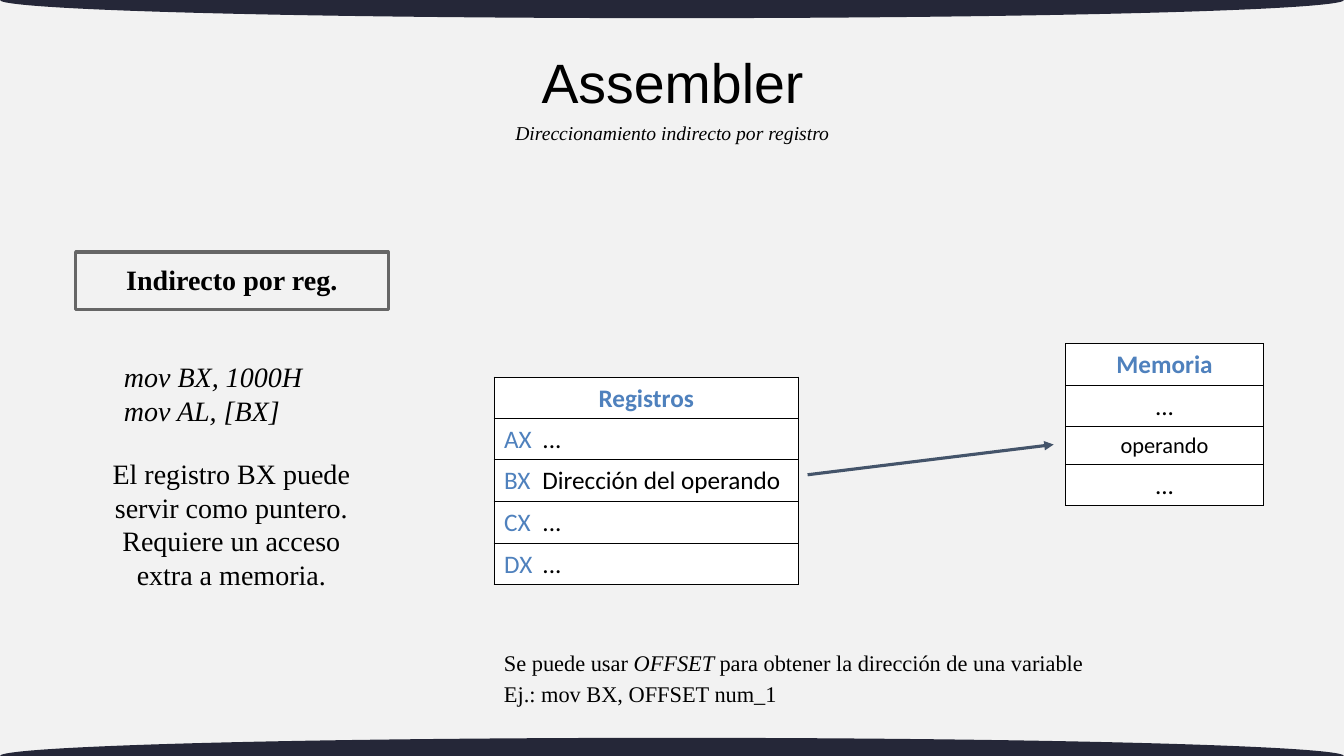
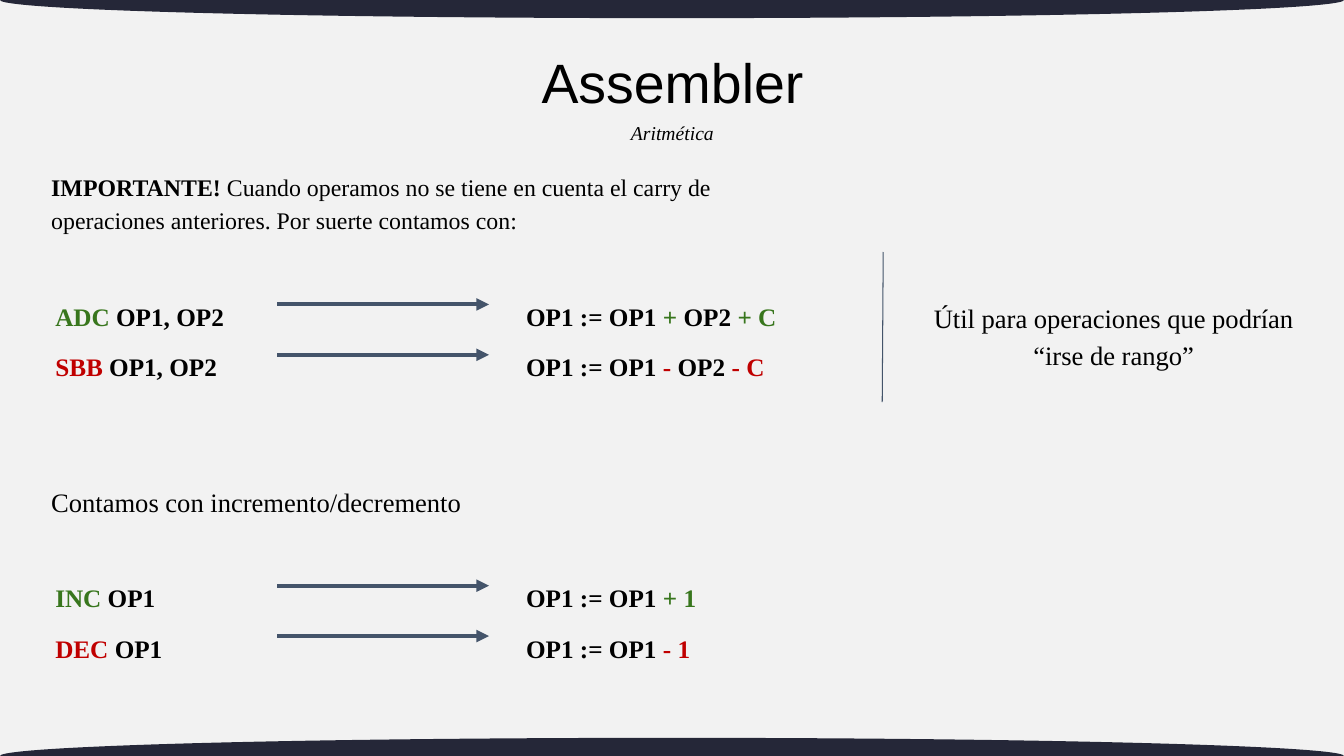
from dataclasses import dataclass

from pptx import Presentation
from pptx import util as u
from pptx.dml.color import RGBColor
from pptx.enum import shapes, text
from pptx.oxml import parse_xml
from pptx.oxml.ns import nsdecls, qn
from pptx.oxml.xmlchemy import OxmlElement


@dataclass(frozen=True)
class Theme:
    """Colours, fonts and type sizes of the deck."""
    paper: str = "F2F2F2"
    band: str = "252738"
    ink: str = "000000"
    white: str = "FFFFFF"
    frame: str = "666666"
    arrow: str = "44546A"
    blue: str = "4F81BD"
    green: str = "38761D"
    red: str = "C00000"
    head: str = "Arial"
    body: str = "Times New Roman"
    grid: str = "Calibri"
    title: float = 39.6
    lead: int = 20
    remark: int = 19
    code: int = 18
    intro: int = 17
    note: int = 16
    subtitle: int = 14


T = Theme()
CENTER = text.PP_ALIGN.CENTER
LEFT = text.PP_ALIGN.LEFT


def rgb(value):
    """Turn a hex string into a colour."""
    return RGBColor.from_string(value)


def assign(obj, **values):
    """Set each given attribute on an object."""
    for name, value in values.items():
        setattr(obj, name, value)


def place(sp, left, top, width, height):
    """Position a shape, in inches."""
    assign(sp, left=u.Inches(left), top=u.Inches(top),
           width=u.Inches(width), height=u.Inches(height))


def write(tf, paras, size, align=LEFT, spacing=1.0, color=T.ink, name=T.body, **font):
    """Write paragraphs, each a string or a list of (text, overrides) runs."""
    for i, para in enumerate(paras):
        p = tf.add_paragraph() if i else tf.paragraphs[0]
        assign(p, alignment=align, line_spacing=spacing)
        for words, extra in [(para, {})] if isinstance(para, str) else para:
            r = p.add_run()
            r.text = words
            fmt = {"size": size, "name": name, "color": color, **font, **extra}
            r.font.color.rgb = rgb(fmt.pop("color"))
            fmt["size"] = u.Pt(fmt["size"])
            assign(r.font, **fmt)


def pad(tf, vertical=0.1, anchor=text.MSO_ANCHOR.TOP):
    """Give a text frame its insets, wrapping and anchor."""
    assign(tf, margin_left=u.Inches(0.1), margin_right=u.Inches(0.1),
           margin_top=u.Inches(vertical), margin_bottom=u.Inches(vertical),
           word_wrap=True, auto_size=text.MSO_AUTO_SIZE.NONE, vertical_anchor=anchor)


def add_text(s, box, paras, size, inset=0.1, **fmt):
    """Add a text box."""
    tf = s.shapes.add_textbox(*map(u.Inches, box)).text_frame
    pad(tf, inset)
    write(tf, paras, size, **fmt)


def add_framed(s, box, words):
    """Add an outlined heading box."""
    sp = s.shapes.add_shape(shapes.MSO_SHAPE.RECTANGLE, *map(u.Inches, box))
    sp.shadow.inherit = False
    sp.fill.background()
    sp.line.color.rgb = rgb(T.frame)
    sp.line.width = u.Pt(2.25)
    pad(sp.text_frame)
    write(sp.text_frame, [words], T.lead, CENTER, bold=True)


def add_line(s, start, end, width, arrow=True):
    """Add a straight line, with an arrowhead unless told otherwise."""
    cx = s.shapes.add_connector(shapes.MSO_CONNECTOR.STRAIGHT,
                                *map(u.Inches, (*start, *end)))
    cx.line.color.rgb = rgb(T.arrow)
    cx.line.width = u.Pt(width)
    if arrow:
        tail = OxmlElement("a:tailEnd")
        tail.set("type", "triangle")
        cx.line._get_or_add_ln().append(tail)
    cx.element.spPr.append(OxmlElement("a:effectLst"))


def style_cell(cell):
    """Give a cell its white fill, margins and black borders."""
    cell.fill.solid()
    cell.fill.fore_color.rgb = rgb(T.white)
    assign(cell, margin_left=u.Inches(0.1), margin_right=u.Inches(0.1),
           margin_top=u.Inches(0.06), margin_bottom=u.Inches(0.05))
    tc_pr = cell._tc.get_or_add_tcPr()
    for i, side in enumerate("LRTB"):
        tc_pr.insert(i, parse_xml(
            f'<a:ln{side} {nsdecls("a")} w="{u.Pt(0.75)}"><a:solidFill>'
            f'<a:srgbClr val="{T.ink}"/></a:solidFill></a:ln{side}>'))


def add_tab(p, inches):
    """Add a left tab stop to a paragraph."""
    tabs = OxmlElement("a:tabLst")
    tab = OxmlElement("a:tab")
    tab.set("pos", str(u.Inches(inches)))
    tab.set("algn", "l")
    tabs.append(tab)
    p._p.get_or_add_pPr().append(tabs)


def add_column(s, left, top, width, rows, align):
    """Add a one-column table from (height, runs) rows below a heading."""
    frame = s.shapes.add_table(len(rows), 1, *map(
        u.Inches, (left, top, width, sum(h for h, _ in rows))))
    tbl = frame.table
    assign(tbl, first_row=False, horz_banding=False)
    for i, (height, runs) in enumerate(rows):
        tbl.rows[i].height = u.Inches(height)
        cell = tbl.cell(i, 0)
        style_cell(cell)
        write(cell.text_frame, [runs], T.code, align if i else CENTER, 0.98, name=T.grid)
        if i and align == LEFT:
            add_tab(cell.text_frame.paragraphs[0], 0.38)


def heading(words):
    """Return the heading row of a table."""
    return 0.4, [(words, {"color": T.blue, "bold": True})]


def register(name, value="...", height=0.4):
    """Return the table row of a register."""
    return height, [(name + "\t", {"color": T.blue}), (value, {})]


def add_operation(s, top, color, name, operands, result):
    """Add an instruction, its arrow and its result."""
    fmt = {"size": T.code, "spacing": 1.5, "bold": True}
    add_text(s, (0.45, top, 2.23, 0.57),
             [[(name, {"color": color}), (operands, {})]], **fmt)
    add_line(s, (2.75, top + 0.28), (4.85, top + 0.28), 3)
    runs = [(part, {"color": T.ink if i % 2 == 0 else color})
            for i, part in enumerate(result)]
    add_text(s, (5.12, top, 2.96, 0.57), [runs], **fmt)


def add_operations(s, top, operations):
    """Stack operations at equal steps."""
    for i, operation in enumerate(operations):
        add_operation(s, top + 0.5 * i, *operation)


def set_up(prs):
    """Prepare background, bands and title position, and return the layout."""
    prs.slide_width, prs.slide_height = u.Inches(13.33), u.Inches(7.5)
    master, layout = prs.slide_master, prs.slide_layouts.get_by_name("Title Only")
    master.background.fill.solid()
    master.background.fill.fore_color.rgb = rgb(T.paper)
    place(layout.placeholders[0], 3.51, 0.38, 6.32, 0.94)
    return layout


def add_bands(prs, s):
    """Put the top and bottom bands on the master."""
    tree = prs.slide_master.shapes.element
    for i, top in enumerate((-0.18, 7.32)):
        sp = s.shapes.add_shape(shapes.MSO_SHAPE.OVAL,
                                *map(u.Inches, (0, top, 13.33, 0.36)))
        sp.shadow.inherit = False
        sp.fill.solid()
        sp.fill.fore_color.rgb = rgb(T.band)
        sp.line.fill.background()
        sp.element.find(".//" + qn("p:cNvPr")).set("id", str(20 + i))
        tree.insert(2 + i, sp.element)


def add_slide(prs, layout, subtitle):
    """Add a slide with its title and subtitle."""
    s = prs.slides.add_slide(layout)
    tf = s.shapes.title.text_frame
    pad(tf, 0.05, text.MSO_ANCHOR.MIDDLE)
    write(tf, ["Assembler"], T.title, CENTER, 0.9, name=T.head)
    add_text(s, (4.4, 1.15, 4.54, 0.34), [subtitle], T.subtitle, 0.05,
             align=CENTER, italic=True)
    return s


def build_indirect(s):
    """Fill the slide on register indirect addressing."""
    add_framed(s, (0.75, 2.5, 3.1, 0.57), "Indirecto por reg.")
    add_text(s, (1.13, 3.47, 2.33, 0.89), ["mov BX, 1000H", "mov AL, [BX]"],
             T.lead, italic=True)
    add_text(s, (0.92, 4.43, 2.75, 2.25),
             ["El registro BX puede servir como puntero. "
              "Requiere un acceso extra a memoria."], T.lead, align=CENTER)
    add_column(s, 10.57, 3.41, 1.96, [
        heading("Memoria"), (0.4, "..."),
        (0.37, [("operando", {"size": T.note})]), (0.4, "...")], CENTER)
    add_column(s, 4.9, 3.74, 3.02, [
        heading("Registros"), register("AX"),
        register("BX", "Dirección del operando", 0.42),
        register("CX"), register("DX")], LEFT)
    add_line(s, (8.01, 4.71), (10.45, 4.41), 2.25)
    add_text(s, (4.9, 6.3, 7.62, 0.8), [
        [("Se puede usar ", {}), ("OFFSET ", {"italic": True}),
         ("para obtener la dirección de una variable", {})],
        "Ej.: mov BX, OFFSET num_1"], T.note, spacing=1.15)


def build_arithmetic(s):
    """Fill the slide on arithmetic."""
    add_text(s, (0.41, 1.57, 7.74, 0.79), [
        [("IMPORTANTE! ", {"bold": True}),
         ("Cuando operamos no se tiene en cuenta el carry de operaciones "
          "anteriores. Por suerte contamos con:", {})]], T.intro, spacing=1.15)
    add_operations(s, 2.74, [
        (T.green, "ADC", " OP1, OP2", ("OP1 := OP1 ", "+", " OP2 ", "+ C")),
        (T.red, "SBB", " OP1, OP2", ("OP1 := OP1 ", "-", " OP2 ", "- C"))])
    add_line(s, (8.76, 2.5), (8.75, 3.99), 0.75, arrow=False)
    add_text(s, (8.89, 2.85, 4.31, 0.79),
             ["Útil para operaciones que podrían “irse de rango”"],
             T.remark, align=CENTER, spacing=1.15)
    add_text(s, (0.41, 4.56, 6.32, 0.64), ["Contamos con incremento/decremento"],
             T.remark, spacing=1.5)
    add_operations(s, 5.53, [
        (T.green, "INC", " OP1", ("OP1 := OP1 ", "+ 1")),
        (T.red, "DEC", " OP1", ("OP1 := OP1 ", "- 1"))])


def main():
    """Build and save the deck."""
    prs = Presentation()
    layout = set_up(prs)
    indirect = add_slide(prs, layout, "Direccionamiento indirecto por registro")
    add_bands(prs, indirect)
    build_indirect(indirect)
    build_arithmetic(add_slide(prs, layout, "Aritmética"))
    prs.save("out.pptx")


if __name__ == "__main__":
    main()
